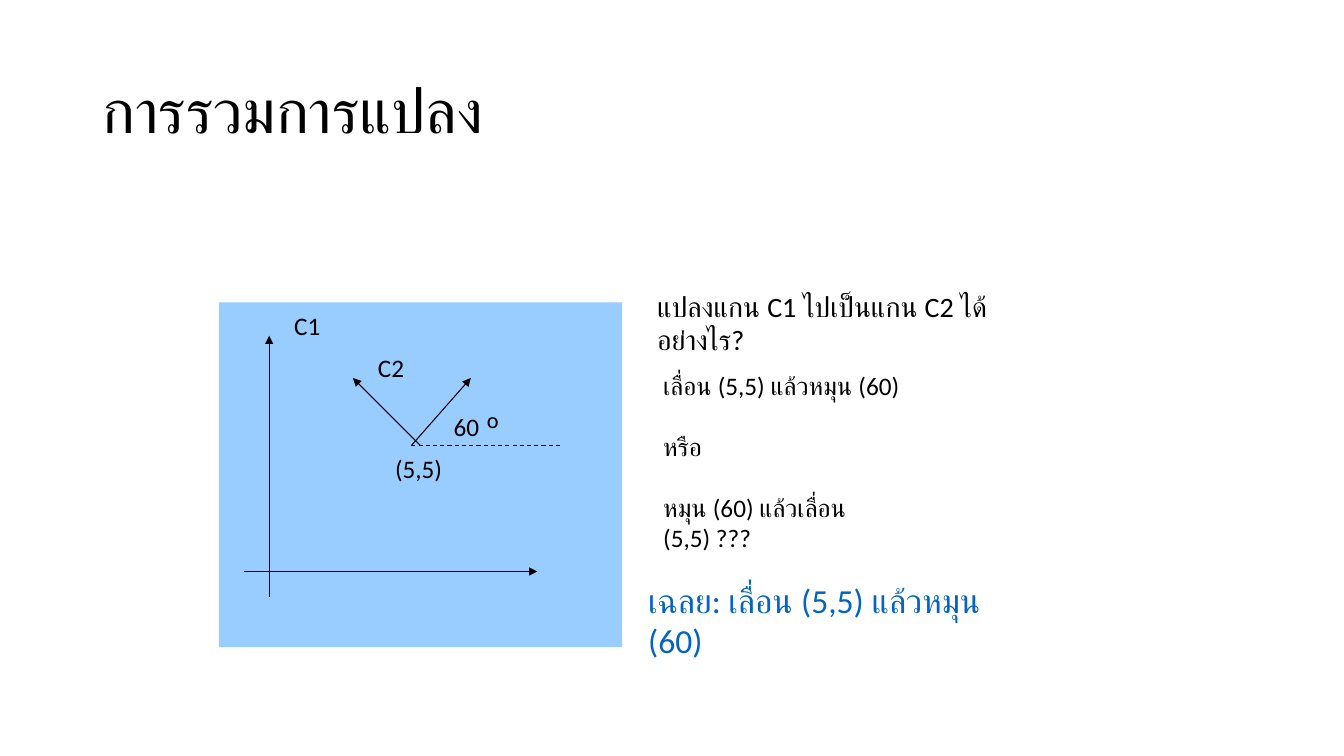
from lxml import etree
from pptx import Presentation
from pptx import util as u
from pptx.dml.color import RGBColor
from pptx.enum import dml, shapes, text
from pptx.oxml import ns

BLACK, BLUE, SKY = "000000", "0563C1", "99CCFF"


def paint(fmt, color):
    """Give a font, fill or line a solid colour."""
    fill = getattr(fmt, "fill", fmt)
    fill.solid()
    fill.fore_color.rgb = RGBColor.from_string(color)


def style(par, size, color=BLACK):
    """Set the font of one paragraph."""
    par.font.name = "Calibri"
    par.font.size = u.Pt(size)
    paint(par.font, color)


def write(slide, box, lines, size=18, color=BLACK, wrap=True, gap=0):
    """Place a text box with one paragraph for each line."""
    frame = slide.shapes.add_textbox(*map(u.Inches, box)).text_frame
    frame.word_wrap = wrap
    frame.text = "\n".join(lines)
    for i, par in enumerate(frame.paragraphs):
        par.alignment = text.PP_ALIGN.LEFT
        if i:
            par.space_before = u.Pt(gap)
        style(par, size, color)


def draw(slide, start, end, dash=False):
    """Draw an arrow, or a dashed guide without a head."""
    line = slide.shapes.add_connector(
        shapes.MSO_CONNECTOR.STRAIGHT, *map(u.Inches, start + end))
    line.line.width = u.Pt(0.75)
    paint(line.line, BLACK)
    if dash:
        line.line.dash_style = dml.MSO_LINE.DASH
    else:
        tail = etree.SubElement(line.line._get_or_add_ln(), ns.qn("a:tailEnd"))
        tail.set("type", "triangle")
    etree.SubElement(line._element.spPr, ns.qn("a:effectLst"))


def head(slide, box, words):
    """Place and format the slide title."""
    title = slide.shapes.title
    title.left, title.top, title.width, title.height = map(u.Inches, box)
    frame = title.text_frame
    frame.text = words
    frame.vertical_anchor = text.MSO_ANCHOR.MIDDLE
    par = frame.paragraphs[0]
    par.alignment = text.PP_ALIGN.LEFT
    par.line_spacing = 0.9
    style(par, 44)


def graph(slide, box):
    """Draw both coordinate frames on a panel."""
    x, y = box[:2]
    panel = slide.shapes.add_shape(
        shapes.MSO_SHAPE.RECTANGLE, *map(u.Inches, box))
    panel.shadow.inherit = False
    paint(panel.fill, SKY)
    panel.line.fill.background()
    for x1, y1, x2, y2, dash in (
            (0.25, 2.67, 3.16, 2.67, False), (0.5, 2.92, 0.5, 0.33, False),
            (1.91, 1.42, 2.5, 0.75, False), (2, 1.42, 1.33, 0.75, False),
            (1.91, 1.42, 3.41, 1.42, True)):
        draw(slide, (x + x1, y + y1), (x + x2, y + y2), dash)
    for word, dx, dy, w, size in (
            ("C1", 0.65, 0.03, 0.46, 18), ("C2", 1.48, 0.45, 0.46, 18),
            ("(5,5)", 1.65, 1.45, 0.73, 18), ("60", 2.23, 1.03, 0.48, 18),
            ("o", 2.56, 0.98, 0.32, 16)):
        write(slide, (x + dx, y + dy, w, 0.4), [word], size, wrap=False)


def quiz(slide, box):
    """Set the question, the choices and the answer in a column."""
    x, y, w = box[:3]
    write(slide, (x + 0.09, y, 3.51, 0.44),
          ["แปลงแกน C1 ไปเป็นแกน C2 ได้อย่างไร?"], 20)
    write(slide, (x + 0.15, y + 0.8, 2.63, 1.62),
          ["เลื่อน (5,5) แล้วหมุน (60)", "หรือ",
           "หมุน (60) แล้วเลื่อน (5,5) ???"], gap=22)
    write(slide, (x, y + 2.88, w, 0.5),
          ["เฉลย: เลื่อน (5,5) แล้วหมุน (60)"], 24, BLUE)


def main():
    """Build the slide and save it."""
    deck = Presentation()
    deck.slide_width, deck.slide_height = u.Inches(13.33), u.Inches(7.5)
    slide = deck.slides.add_slide(deck.slide_layouts.get_by_name("Title Only"))
    head(slide, (0.92, 0.4, 11.5, 1.45), "การรวมการแปลง")
    graph(slide, (2.17, 3, 4, 3.42))
    quiz(slide, (6.33, 2.82, 3.66, 3.38))
    deck.save("out.pptx")


if __name__ == "__main__":
    main()
